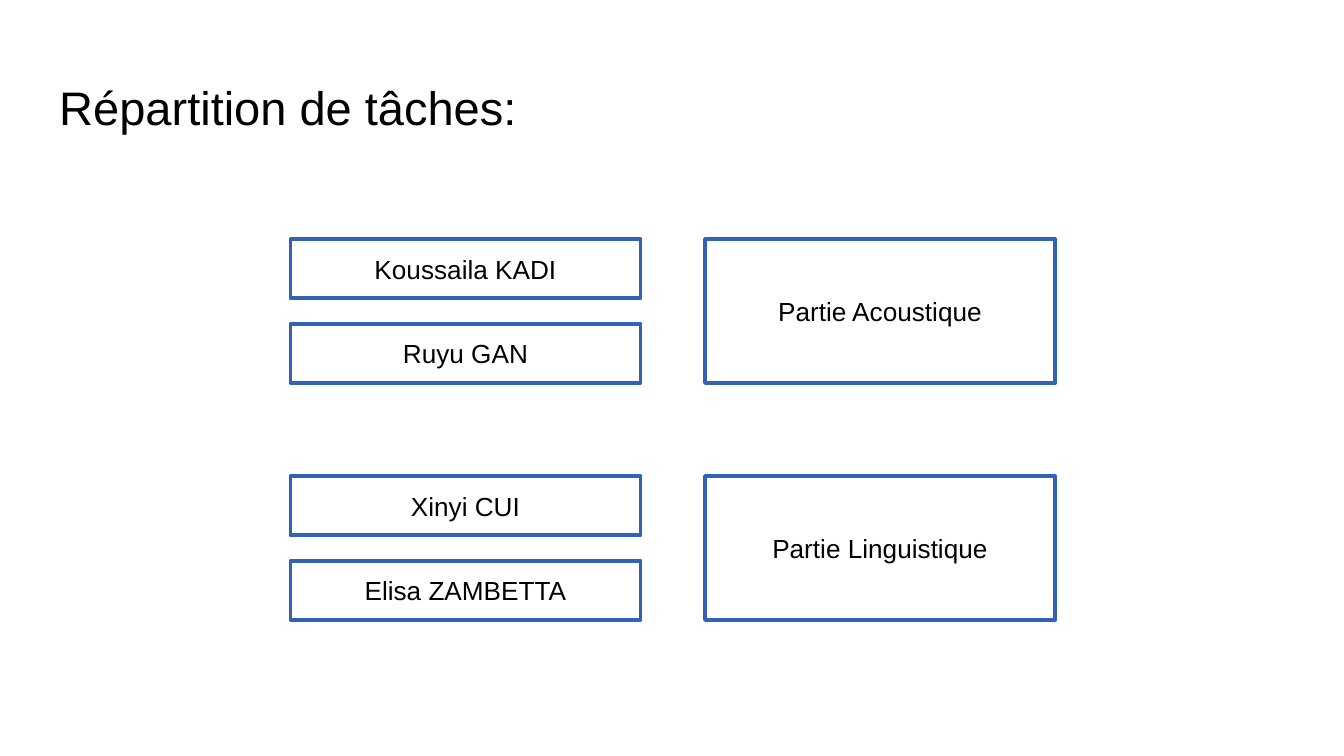
from pptx import Presentation
from pptx import util as u
from pptx.dml import color
from pptx.enum import shapes, text


def rgb(value):
    """Return the colour for a hex string."""
    return color.RGBColor.from_string(value)


def write(sp, words, size, align, anchor):
    """Put one line of black Arial text in a shape."""
    tf = sp.text_frame
    tf.word_wrap = True
    tf.vertical_anchor = anchor
    p = tf.paragraphs[0]
    p.text = words
    p.alignment = align
    font = p.runs[0].font
    font.name, font.size = "Arial", u.Pt(size)
    font.color.rgb = rgb("000000")


def add_title(s, words, left, top, width, height):
    """Add the slide title in the given box."""
    sp = s.shapes.add_textbox(u.Cm(left), u.Cm(top), u.Cm(width), u.Cm(height))
    tf = sp.text_frame
    tf.margin_left = tf.margin_right = tf.margin_top = tf.margin_bottom = u.Cm(0.25)
    write(sp, words, 25.2, text.PP_ALIGN.LEFT, text.MSO_ANCHOR.TOP)


def add_frame(s, words, left, top, width, height):
    """Add a blue outlined rectangle with centred text."""
    sp = s.shapes.add_shape(shapes.MSO_SHAPE.RECTANGLE,
                            u.Cm(left), u.Cm(top), u.Cm(width), u.Cm(height))
    sp.shadow.inherit = False
    sp.fill.background()
    sp.line.color.rgb = rgb("3162B5")
    sp.line.width = u.Pt(2)
    write(sp, words, 14, text.PP_ALIGN.CENTER, text.MSO_ANCHOR.MIDDLE)


def add_team(s, members, task, left, top, width, height):
    """Add the members stacked at left and their task at right."""
    gap, member_height = 1.22, 1.12
    column = (width - gap) / 2
    step = (height - member_height) / (len(members) - 1)
    for i, member in enumerate(members):
        add_frame(s, member, left, top + i * step, column, member_height)
    add_frame(s, task, left + column + gap, top, column, height)


def main():
    """Build and save the slide."""
    prs = Presentation()
    prs.slide_width, prs.slide_height = u.Cm(25.4), u.Cm(14.29)
    s = prs.slides.add_slide(prs.slide_layouts[6])
    add_title(s, "Répartition de tâches:", 0.87, 1.24, 23.67, 1.6)
    teams = [
        (["Koussaila KADI", "Ruyu GAN"], "Partie Acoustique", 4.52),
        (["Xinyi CUI", "Elisa ZAMBETTA"], "Partie Linguistique", 9),
    ]
    for members, task, top in teams:
        add_team(s, members, task, 5.49, top, 14.45, 2.72)
    prs.save("out.pptx")


main()
